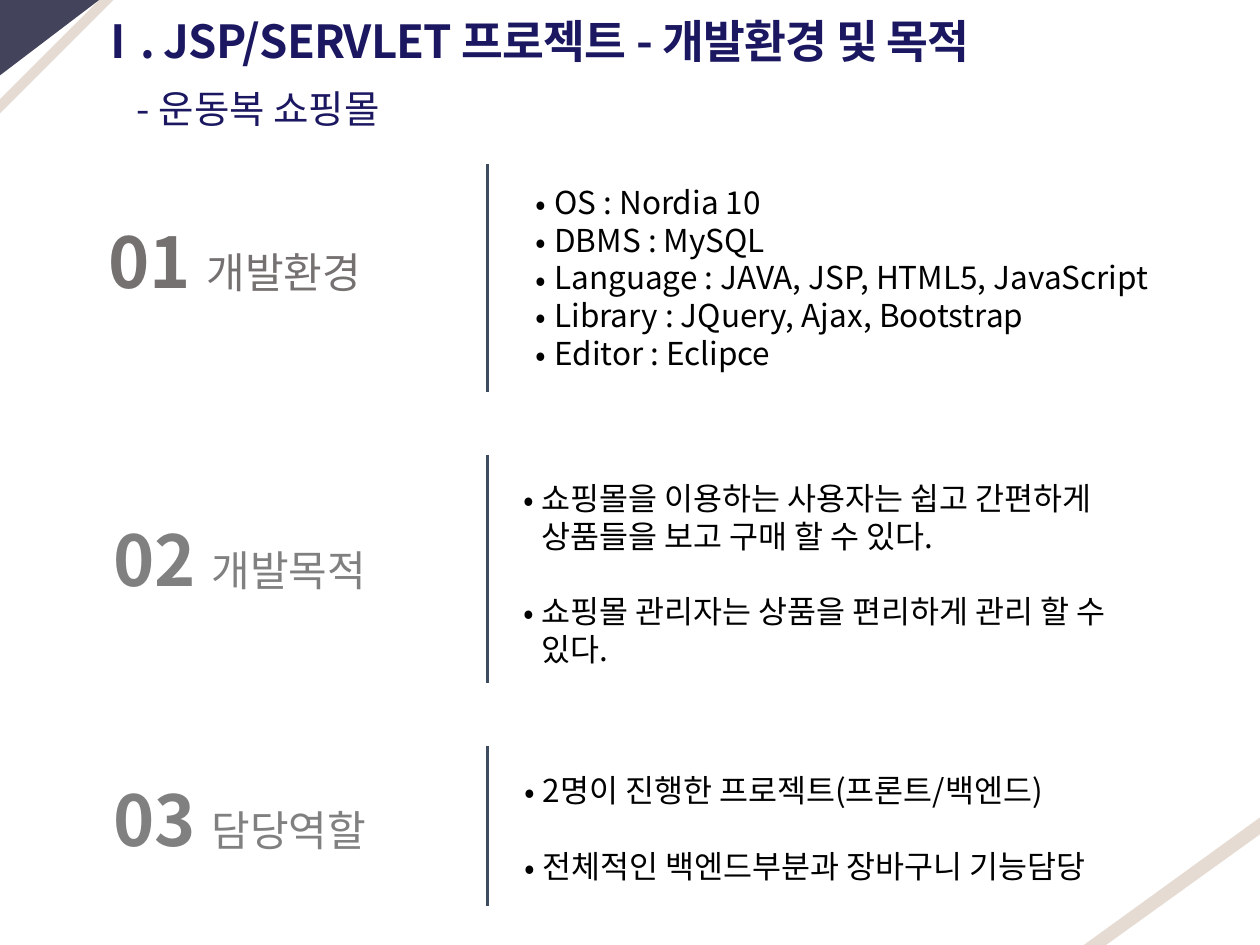
import lxml.etree
import pptx
import pptx.dml.color
import pptx.enum.shapes
import pptx.enum.text
import pptx.oxml.ns
import pptx.util

Cm, Pt, qn = pptx.util.Cm, pptx.util.Pt, pptx.oxml.ns.qn
FONT = "Noto Sans CJK KR"
NAVY, SLATE, BEIGE, DARK = "1B1760", "3D4C5F", "E5DBD2", "43435B"


def rgb(value):
    return pptx.dml.color.RGBColor.from_string(value)


def style(r, size, color, bold=False):
    """Format a run, using one typeface for Latin and Korean text."""
    r.font.name = FONT
    r.font.size = Pt(size)
    r.font.bold = bold
    r.font.color.rgb = rgb(color)
    lxml.etree.SubElement(r.font._element, qn("a:ea"), typeface=FONT)


prs = pptx.Presentation()
prs.slide_width, prs.slide_height = Cm(25.4), Cm(19.05)
s = prs.slides.add_slide(prs.slide_layouts[4])

# Corner decorations
corners = [
    (BEIGE, [(2, 0), (2.29, 0), (0, 2.29), (0, 2)]),
    (DARK, [(0, 0), (2, 0), (0, 1.52)]),
    (BEIGE, [(22.3, 19.05), (21.85, 19.05), (25.4, 16.48), (25.4, 16.82)]),
]
for color, points in corners:
    points = [(Cm(x), Cm(y)) for x, y in points]
    builder = s.shapes.build_freeform(*points[0])
    builder.add_line_segments(points[1:])
    sp = builder.convert_to_shape()
    sp.shadow.inherit = False
    sp.fill.solid()
    sp.fill.fore_color.rgb = rgb(color)
    sp.line.fill.background()

# Title and subtitle
sp = s.shapes.title
sp.left, sp.top, sp.width, sp.height = Cm(0.43), Cm(0), Cm(23.4), Cm(2.41)
tf = sp.text_frame
tf.text = "Ⅰ. JSP/SERVLET 프로젝트 - 개발환경 및 목적\n- 운동복 쇼핑몰"
tf.word_wrap = True
tf.auto_size = pptx.enum.text.MSO_AUTO_SIZE.NONE
tf.vertical_anchor = pptx.enum.text.MSO_ANCHOR.MIDDLE
tf.margin_left, tf.margin_top = Cm(1.5), Cm(0.5)
tf.margin_right = tf.margin_bottom = 0
for p in tf.paragraphs:
    p.alignment = pptx.enum.text.PP_ALIGN.LEFT
heading, subtitle = tf.paragraphs
heading.space_after = Pt(10)
style(heading.runs[0], 26, NAVY, True)
heading.runs[0].font._element.set("spc", "-50")
subtitle._p.get_or_add_pPr().set("marL", str(Cm(0.83)))
style(subtitle.runs[0], 22, NAVY)

# Sections: label, label position and colour, rule span, list box, gap, items
sections = [
    ("개발환경", 1.93, 4.29, "767171", 3.3, 7.9, (10.54, 3.56, 13.59, 4.06), 0,
     ["OS : Nordia 10", "DBMS : MySQL",
      "Language : JAVA, JSP, HTML5, JavaScript",
      "Library : JQuery, Ajax, Bootstrap", "Editor : Eclipce"]),
    ("개발목적", 2.03, 10.29, "808080", 9.17, 13.77, (10.29, 9.53, 13.31, 4.06), 21.5,
     ["쇼핑몰을 이용하는 사용자는 쉽고 간편하게 상품들을 보고 구매 할 수 있다.",
      "쇼핑몰 관리자는 상품을 편리하게 관리 할 수 있다."]),
    ("담당역할", 2.03, 15.52, "808080", 15.04, 18.26, (10.31, 15.42, 13.31, 2.51), 21.5,
     ["2명이 진행한 프로젝트(프론트/백엔드)",
      "전체적인 백엔드부분과 장바구니 기능담당"]),
]
for number, section in enumerate(sections, 1):
    label, x, y, color, rule_top, rule_bottom, box, gap, items = section

    tf = s.shapes.add_textbox(Cm(x), Cm(y), Cm(7.7), Cm(1.95)).text_frame
    tf.word_wrap = True
    p = tf.paragraphs[0]
    for text, size, bold in ((f"{number:02d} ", 40, True), (label, 24, False)):
        r = p.add_run()
        r.text = text
        style(r, size, color, bold)

    rule = s.shapes.add_connector(pptx.enum.shapes.MSO_CONNECTOR.STRAIGHT,
                                  Cm(9.83), Cm(rule_top), Cm(9.83), Cm(rule_bottom))
    rule.line.color.rgb = rgb(SLATE)
    rule.line.width = Pt(1.5)
    lxml.etree.SubElement(rule._element.spPr, qn("a:effectLst"))

    sp = s.placeholders[number]
    sp.left, sp.top, sp.width, sp.height = [Cm(v) for v in box]
    tf = sp.text_frame
    tf.text = "\n".join(items)
    tf.word_wrap = True
    tf.auto_size = pptx.enum.text.MSO_AUTO_SIZE.NONE
    tf.vertical_anchor = pptx.enum.text.MSO_ANCHOR.TOP
    for i, p in enumerate(tf.paragraphs):
        p.space_before = Pt(gap if i else 0)
        pPr = p._p.get_or_add_pPr()
        pPr.set("marL", str(Cm(0.38)))
        pPr.set("indent", str(-Cm(0.38)))
        lxml.etree.SubElement(pPr, qn("a:buFont"), typeface=FONT)
        lxml.etree.SubElement(pPr, qn("a:buChar"), char="•")
        style(p.runs[0], 18, "000000")

unused = s.placeholders[4]._element
unused.getparent().remove(unused)

prs.save("out.pptx")
